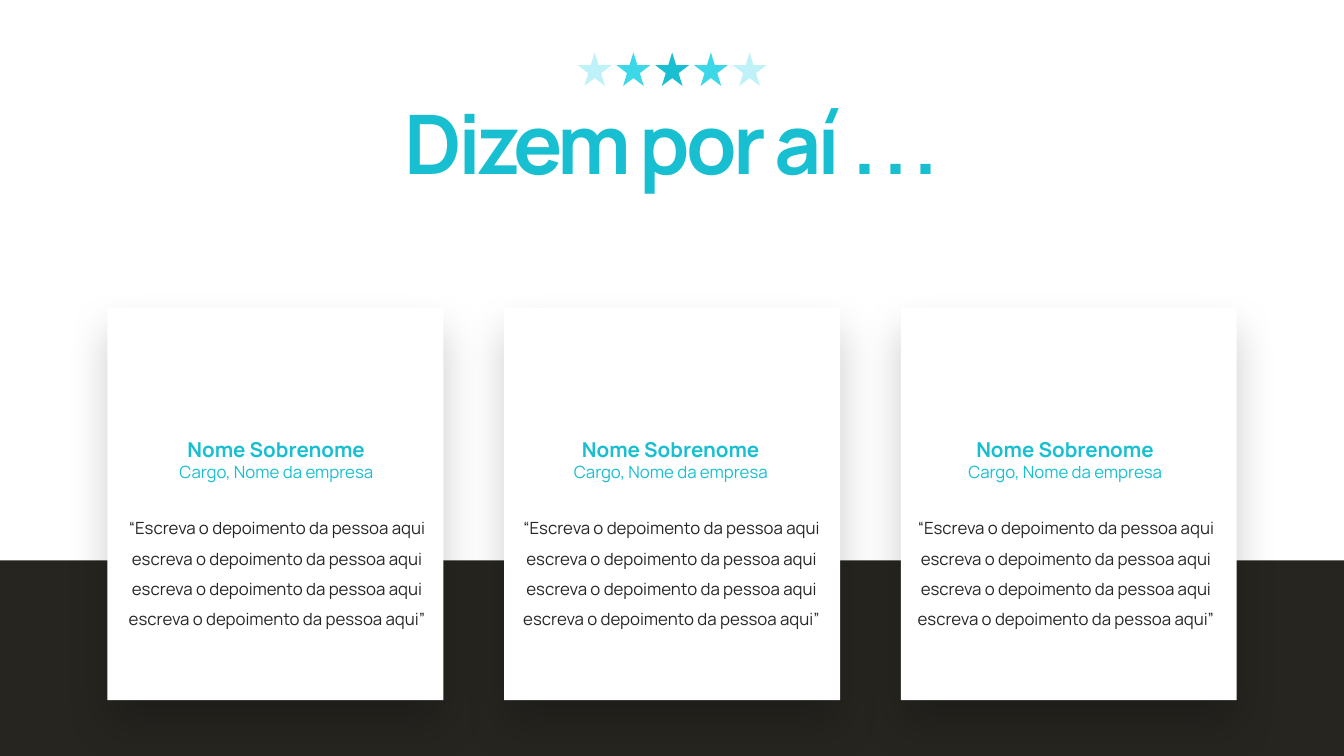
"""Builds a testimonial slide with a star rating, a title and three quote cards."""
import pptx
import pptx.dml.color
import pptx.enum.shapes
import pptx.enum.text
import pptx.oxml
import pptx.oxml.ns
import pptx.util

Pt = pptx.util.Pt
KIND = pptx.enum.shapes.MSO_SHAPE
FONT = "Manrope"
HEX = {
    "white": "FFFFFF", "dark": "262520", "ink": "262626",
    "teal": "18BFD1", "mid": "3CD8E8", "pale": "BEF2F8",
}
QUOTE = "“" + " ".join(
    ["Escreva o depoimento da pessoa aqui"]
    + ["escreva o depoimento da pessoa aqui"] * 3
) + "”"
SHADE = (
    '<a:effectLst %s><a:outerShdw blurRad="%d" dist="%d" dir="5400000" algn="t" '
    'rotWithShape="0"><a:srgbClr val="000000"><a:alpha val="20000"/></a:srgbClr>'
    "</a:outerShdw></a:effectLst>"
)


def tint(name):
    return pptx.dml.color.RGBColor.from_string(HEX[name])


def add_form(slide, kind, left, top, width, height, color):
    form = slide.shapes.add_shape(kind, Pt(left), Pt(top), Pt(width), Pt(height))
    form.shadow.inherit = False
    form.fill.solid()
    form.fill.fore_color.rgb = tint(color)
    form.line.fill.background()
    return form


def add_card(slide, left, top, width, height):
    card = add_form(slide, KIND.RECTANGLE, left, top, width, height, "white")
    props = card._element.spPr
    props.remove(props.find(pptx.oxml.ns.qn("a:effectLst")))
    names = pptx.oxml.ns.nsdecls("a")
    props.append(pptx.oxml.parse_xml(SHADE % (names, Pt(23), Pt(12))))


def add_text(slide, left, top, width, height, lines, space=None):
    """Each line is a list of runs: text, size, bold, colour, letter spacing."""
    box = slide.shapes.add_textbox(Pt(left), Pt(top), Pt(width), Pt(height))
    frame = box.text_frame
    frame.word_wrap = True
    frame.auto_size = pptx.enum.text.MSO_AUTO_SIZE.SHAPE_TO_FIT_TEXT
    for index, runs in enumerate(lines):
        para = frame.add_paragraph() if index else frame.paragraphs[0]
        para.alignment = pptx.enum.text.PP_ALIGN.CENTER
        if space:
            para.line_spacing = space
        for text, size, bold, color, gap in runs:
            run = para.add_run()
            run.text = text
            run.font.name = FONT
            run.font.size = Pt(size)
            run.font.bold = bold
            run.font.color.rgb = tint(color)
            if gap:
                run.font._element.set("spc", str(round(gap * 100)))


def add_stars(slide):
    for index, color in enumerate(["pale", "mid", "teal", "mid", "pale"]):
        add_form(slide, KIND.STAR_5_POINT, 309.6 + 20.75 * index, 28.1, 18, 18, color)


def add_quote(slide, left):
    add_text(slide, left + 18, 230.4, 139, 31.7, [
        [("Nome Sobrenome", 11, True, "teal", 0)],
        [("Cargo, Nome da empresa", 9, False, "teal", 0)],
    ])
    add_text(slide, left, 268.6, 175.7, 103.7,
             [[(QUOTE, 9, False, "ink", 0)]], 1.5)


def main():
    deck = pptx.Presentation()
    deck.slide_width, deck.slide_height = Pt(720), Pt(405)
    slide = deck.slides.add_slide(deck.slide_layouts[6])
    add_form(slide, KIND.RECTANGLE, 0, 300.3, 720, 104.7, "dark")
    for index in range(3):
        add_card(slide, 57.6 + 212.5 * index, 164.9, 180, 210.2)
    for index in range(3):
        add_quote(slide, 60.5 + 211.3 * index)
    add_text(slide, 145.4, 46.1, 429.1, 60.5, [[
        ("Dizem por aí ", 44, True, "teal", -2.2),
        ("...", 44, True, "teal", 3),
    ]])
    add_stars(slide)
    deck.save("out.pptx")


if __name__ == "__main__":
    main()
